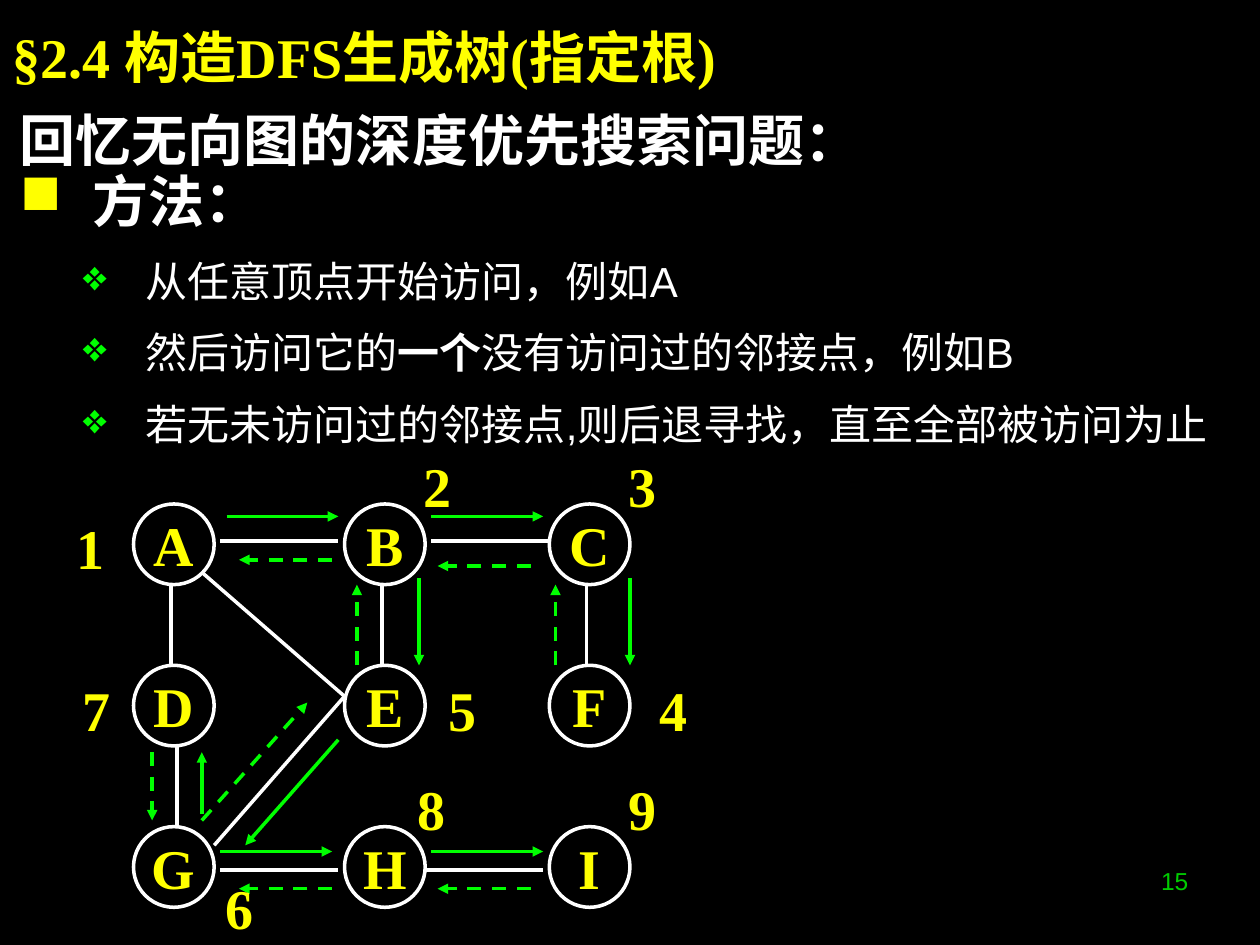
import pptx
import pptx.util
import pptx.dml.color
import pptx.enum.dml
import pptx.enum.shapes
import pptx.enum.text
import pptx.oxml
import pptx.oxml.ns

HUES = {"back": "000000", "text": "FFFFFF", "gold": "FFFF00",
        "lime": "00FF00", "page": "00CC00"}
CELL = 0.1
COLS, ROWS = 100, 75
SERIF, SANS = "Times New Roman", "Arial"
ALIGN = pptx.enum.text.PP_ALIGN

NODES = dict(zip("ABCDEFGHI", [(x, y) for y in (0, 26, 52) for x in (0, 34, 67)]))
EDGES = [(14, 6, 33, 6), (48, 6, 67, 6), (14, 59, 33, 59), (47, 59, 66, 59),
         (6, 13, 6, 26), (40, 13, 40, 26), (73, 13, 73, 26), (7, 39, 7, 52),
         (11, 11, 34, 31), (34, 31, 13, 55)]
STEPS = [(15, 2, 33, 2), (48, 2, 66, 2), (80, 12, 80, 26), (46, 12, 46, 26),
         (33, 38, 18, 55), (11, 50, 11, 40), (14, 56, 32, 56), (48, 56, 66, 56)]
BACKS = [(68, 26, 68, 13), (64, 10, 49, 10), (3, 40, 3, 51), (64, 62, 49, 62),
         (32, 62, 17, 62), (11, 51, 28, 32), (36, 26, 36, 13), (32, 9, 17, 9)]
ORDER = [(-13, 1), (43, -9), (76, -9), (81, 27), (47, 27),
         (11, 59), (-12, 27), (42, 43), (76, 43)]
SPAN, NODE, MARK = 80, 13, 12

HEADS = [("回忆无向图的深度优先搜索问题：", None), ("方法：", "■")]
ITEMS = [[("从任意顶点开始访问，例如A", False)],
         [("然后访问它的", False), ("一个", True), ("没有访问过的邻接点，例如B", False)],
         [("若无未访问过的邻接点,则后退寻找，直至全部被访问为止", False)]]


def inch(num):
    """Turn slide cells into a length."""
    return pptx.util.Inches(num * CELL)


def hue(name):
    """Look up a colour by name."""
    return pptx.dml.color.RGBColor.from_string(HUES[name])


def add_run(para, text, size, tint, face, bold=False):
    """Add one styled run to a paragraph."""
    run = para.add_run()
    run.text = text
    font = run.font
    font.size, font.name, font.bold = pptx.util.Pt(size), face, bold
    font.color.rgb = hue(tint)


def add_tag(tree, tag, **attrs):
    """Append a drawing element with its attributes."""
    node = pptx.oxml.ns.qn(tag)
    item = tree.makeelement(node, attrs)
    tree.append(item)
    return item


def add_box(slide, box, wrap=True, anchor="MIDDLE"):
    """Add a text box over the given cells and return its frame."""
    frame = slide.shapes.add_textbox(*map(inch, box)).text_frame
    frame.word_wrap = wrap
    frame.vertical_anchor = pptx.enum.text.MSO_ANCHOR[anchor]
    return frame


def add_line(slide, ends, tint, arrow=False, dash=False):
    """Draw a straight line, with an arrowhead or dashes if asked."""
    kind = pptx.enum.shapes.MSO_CONNECTOR.STRAIGHT
    wire = slide.shapes.add_connector(kind, *map(inch, ends))
    wire.line.width = pptx.util.Pt(2)
    wire.line.color.rgb = hue(tint)
    if dash:
        wire.line.dash_style = pptx.enum.dml.MSO_LINE.DASH
    props = wire.element.spPr
    if arrow:
        add_tag(wire.line._get_or_add_ln(), "a:tailEnd", type="triangle")
    add_tag(props, "a:effectLst")


def add_bullet(para, left, hang, tint=None, char=None):
    """Set a hanging indent in cells and a coloured bullet."""
    props = para._p.get_or_add_pPr()
    props.set("marL", str(inch(left)))
    props.set("indent", str(-inch(hang)))
    if char:
        shade = add_tag(props, "a:buClr")
        add_tag(shade, "a:srgbClr", val=HUES[tint])
        add_tag(props, "a:buChar", char=char)
    else:
        add_tag(props, "a:buNone")


def add_title(slide, box):
    """Place the slide title."""
    para = add_box(slide, box).paragraphs[0]
    add_run(para, "§2.4 构造DFS生成树(指定根)", 32, "gold", SERIF, True)


def add_page(slide, box):
    """Place the slide number."""
    para = add_box(slide, box, anchor="TOP").paragraphs[0]
    para.alignment = ALIGN.RIGHT
    add_run(para, "15", 14, "page", SANS)


def add_body(slide, box):
    """Place the headings and the bulleted steps."""
    frame = add_box(slide, box, anchor="TOP")
    para = frame.paragraphs[0]
    for text, char in HEADS:
        para.line_spacing = 0.9
        add_bullet(para, 5.8, 5.8, "gold", char)
        add_run(para, text, 32, "text", SANS, True)
        para = frame.add_paragraph()
    for item in ITEMS:
        para.level = 1
        para.space_before = pptx.util.Pt(12)
        add_bullet(para, 10, 5, "lime", "❖")
        for text, bold in item:
            add_run(para, text, 24, "text", SANS, bold)
        if item is not ITEMS[-1]:
            para = frame.add_paragraph()


def add_graph(slide, box):
    """Draw nodes, edges, search arrows and visit order in a fine grid."""
    left, top, wide, _ = box
    unit = wide / SPAN

    def spot(col, row):
        return left + col * unit, top + row * unit

    def label(frame, text):
        frame.word_wrap = False
        frame.vertical_anchor = pptx.enum.text.MSO_ANCHOR.MIDDLE
        para = frame.paragraphs[0]
        para.alignment = ALIGN.CENTER
        add_run(para, text, 32, "gold", SERIF, True)

    oval = pptx.enum.shapes.MSO_SHAPE.OVAL
    for name, cell in NODES.items():
        area = (*spot(*cell), NODE * unit, NODE * unit)
        node = slide.shapes.add_shape(oval, *map(inch, area))
        node.shadow.inherit = False
        node.fill.background()
        node.line.color.rgb = hue("text")
        node.line.width = pptx.util.Pt(2)
        label(node.text_frame, name)
    for group, tint, arrow, dash in ((EDGES, "text", False, False),
                                     (STEPS, "lime", True, False),
                                     (BACKS, "lime", True, True)):
        for ends in group:
            add_line(slide, spot(*ends[:2]) + spot(*ends[2:]), tint, arrow, dash)
    for rank, cell in enumerate(ORDER, 1):
        area = (*spot(*cell), MARK * unit, MARK * unit)
        label(add_box(slide, area, False), str(rank))


def main():
    """Build and save the slide."""
    deck = pptx.Presentation()
    deck.slide_width, deck.slide_height = inch(COLS), inch(ROWS)
    slide = deck.slides.add_slide(deck.slide_layouts[6])
    slide.background.fill.solid()
    slide.background.fill.fore_color.rgb = hue("back")
    add_page(slide, (72, 68.2, 23.3, 5.2))
    add_title(slide, (0, 0, 90, 8.9))
    add_body(slide, (0.6, 8.5, 99.4, 66.5))
    add_graph(slide, (10.6, 40, 39.4, 32))
    deck.save("out.pptx")


if __name__ == "__main__":
    main()
